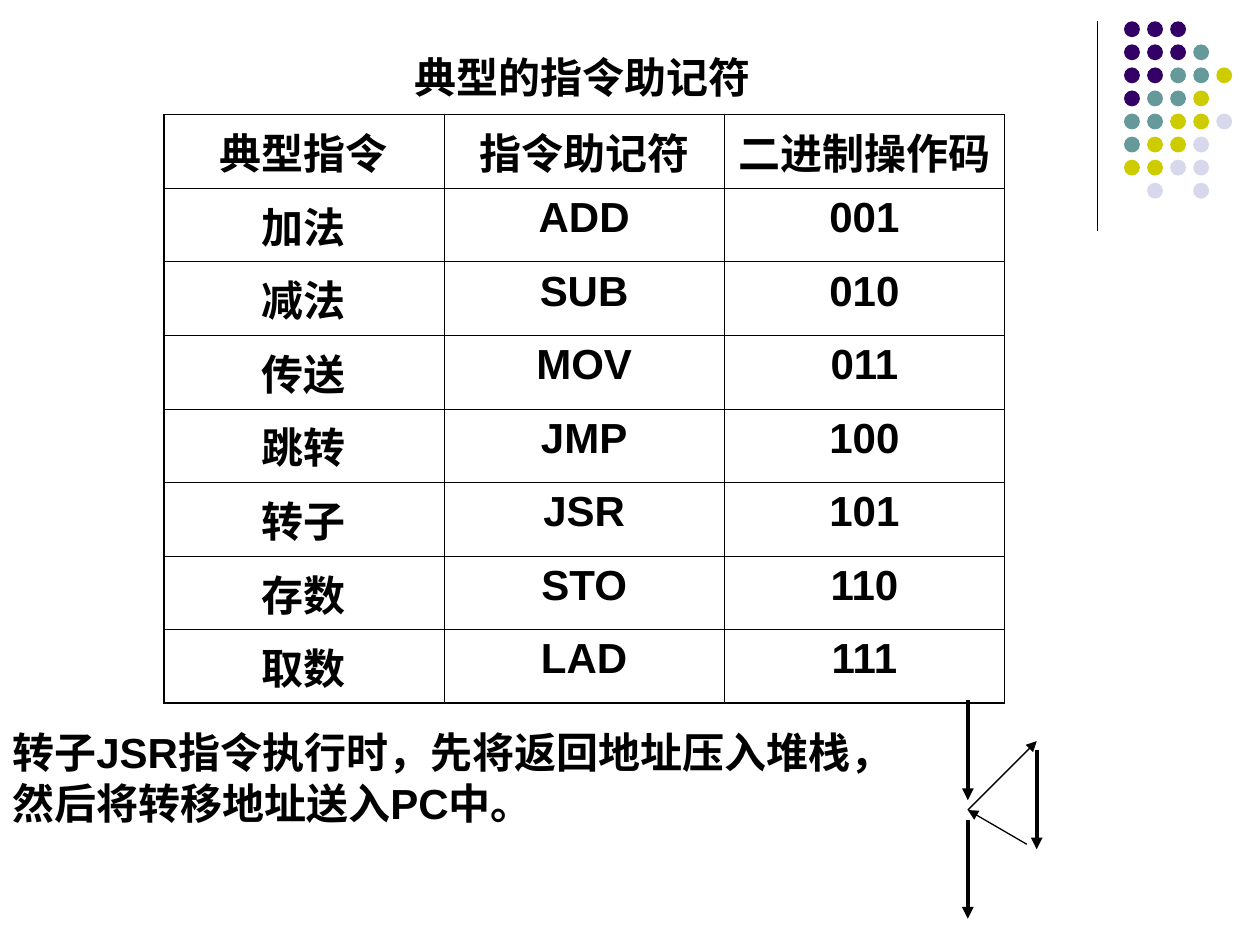
from dataclasses import dataclass

from lxml.etree import SubElement
from pptx import Presentation
from pptx.dml.color import RGBColor as RGB
from pptx.enum.shapes import MSO_CONNECTOR as CONNECTOR, MSO_SHAPE as SHAPE
from pptx.enum.text import MSO_ANCHOR as ANCHOR, MSO_AUTO_SIZE as AUTO, PP_ALIGN as ALIGN
from pptx.oxml import parse_xml
from pptx.oxml.ns import nsdecls, qn
from pptx.util import Cm, Pt

FONT = "Arial"
COLORS = {
    "ink": "000000",
    "purple": "330066",
    "teal": "669999",
    "olive": "CCCC00",
    "lilac": "D8D8EC",
}
THIN, THICK = 0.75, 2.25  # line widths in points
INNER, OUTER = 0.45, 1.08  # table border widths in points


@dataclass
class Line:
    x1: float
    y1: float
    x2: float
    y2: float
    width: float = THIN
    arrow: bool = True


# Dot pattern: one letter per dot, a space leaves a gap in the grid
DOT_KEYS = {"p": "purple", "t": "teal", "o": "olive", "l": "lilac"}
DOT_ROWS = ["ppp", "pppt", "pptto", "ptto", "ttool", "tool", "ooll", " l l"]
DOT_LEFT, DOT_TOP, DOT_PITCH, DOT_SIZE = 22.66, 0.43, 0.465, 0.32

TITLE = "典型的指令助记符"
ROWS = [
    ("典型指令", "指令助记符", "二进制操作码"),
    ("加法", "ADD", "001"),
    ("减法", "SUB", "010"),
    ("传送", "MOV", "011"),
    ("跳转", "JMP", "100"),
    ("转子", "JSR", "101"),
    ("存数", "STO", "110"),
    ("取数", "LAD", "111"),
]
COL_WIDTH, ROW_HEIGHT = 5.65, 1.41
NOTE = ["转子", "JSR", "指令执行时，先将返回地址压入堆栈，然后将转移地址送入", "PC", "中。"]

DIVIDER = Line(22.12, 0.43, 22.12, 4.65, arrow=False)
MAIN_X, SUB_X = 19.51, 20.9  # main program and subroutine
CALL_FLOW = [
    Line(MAIN_X, 14.12, MAIN_X, 16.13, THICK),
    Line(MAIN_X, 16.54, MAIN_X, 18.52, THICK),
    Line(MAIN_X, 16.33, SUB_X, 14.94),
    Line(SUB_X, 15.11, SUB_X, 17.12, THICK),
    Line(20.7, 17.02, MAIN_X, 16.33),
]


def color(name: str) -> RGB:
    return RGB.from_string(COLORS[name])


def write(p, texts: list[str], align=ALIGN.LEFT) -> None:
    p.alignment = align
    for text in texts:
        r = p.add_run()
        r.text = text
        r.font.name = FONT
        r.font.size = Pt(24)
        r.font.bold = True
        r.font.color.rgb = color("ink")


def draw_line(shapes, line: Line) -> None:
    s = shapes.add_connector(
        CONNECTOR.STRAIGHT, Cm(line.x1), Cm(line.y1), Cm(line.x2), Cm(line.y2))
    s.line.color.rgb = color("ink")
    s.line.width = Pt(line.width)
    if line.arrow:
        SubElement(s.line._get_or_add_ln(), qn("a:tailEnd"), type="triangle")
    SubElement(s._element.spPr, qn("a:effectLst"))


def draw_dots(shapes) -> None:
    for i, row in enumerate(DOT_ROWS):
        for j, key in enumerate(row):
            if key == " ":
                continue
            s = shapes.add_shape(
                SHAPE.OVAL, Cm(DOT_LEFT + j * DOT_PITCH), Cm(DOT_TOP + i * DOT_PITCH),
                Cm(DOT_SIZE), Cm(DOT_SIZE))
            s.shadow.inherit = False
            s.fill.solid()
            s.fill.fore_color.rgb = color(DOT_KEYS[key])
            s.line.fill.background()


def set_borders(cell, widths: dict[str, float]) -> None:
    tc_pr = cell._tc.get_or_add_tcPr()
    for i, (side, width) in enumerate(widths.items()):
        tc_pr.insert(i, parse_xml(
            f'<a:ln{side} {nsdecls("a")} w="{int(Pt(width))}"><a:solidFill>'
            f'<a:srgbClr val="{COLORS["ink"]}"/></a:solidFill></a:ln{side}>'))


def draw_table(shapes) -> None:
    n_rows, n_cols = len(ROWS), len(ROWS[0])
    table = shapes.add_table(
        n_rows, n_cols, Cm(3.3), Cm(2.31),
        Cm(n_cols * COL_WIDTH), Cm(n_rows * ROW_HEIGHT)).table
    table.first_row = table.horz_banding = False
    for col in table.columns:
        col.width = Cm(COL_WIDTH)
    for i, texts in enumerate(ROWS):
        table.rows[i].height = Cm(ROW_HEIGHT)
        for j, text in enumerate(texts):
            cell = table.cell(i, j)
            cell.fill.background()
            write(cell.text_frame.paragraphs[0], [text], ALIGN.CENTER)
            at_edge = {"L": j == 0, "R": j == n_cols - 1, "T": i == 0, "B": i == n_rows - 1}
            set_borders(cell, {k: OUTER if edge else INNER for k, edge in at_edge.items()})


def main() -> None:
    prs = Presentation()
    prs.slide_width, prs.slide_height = Cm(25.4), Cm(19.05)
    slide = prs.slides.add_slide(prs.slide_layouts[5])
    shapes = slide.shapes

    # Corner decoration
    draw_line(shapes, DIVIDER)
    draw_dots(shapes)

    # Title and instruction table
    s = shapes.title
    s.left, s.top, s.width, s.height = Cm(8.1), Cm(0.91), Cm(7.39), Cm(1.27)
    tf = s.text_frame
    tf.auto_size = AUTO.NONE
    tf.vertical_anchor = ANCHOR.TOP
    write(tf.paragraphs[0], [TITLE])
    draw_table(shapes)

    # Note on the subroutine call, with its flow diagram
    tf = shapes.add_textbox(Cm(0), Cm(14.53), Cm(18.69), Cm(2.29)).text_frame
    tf.word_wrap = True
    write(tf.paragraphs[0], NOTE)
    for line in CALL_FLOW:
        draw_line(shapes, line)

    prs.save("out.pptx")


if __name__ == "__main__":
    main()
